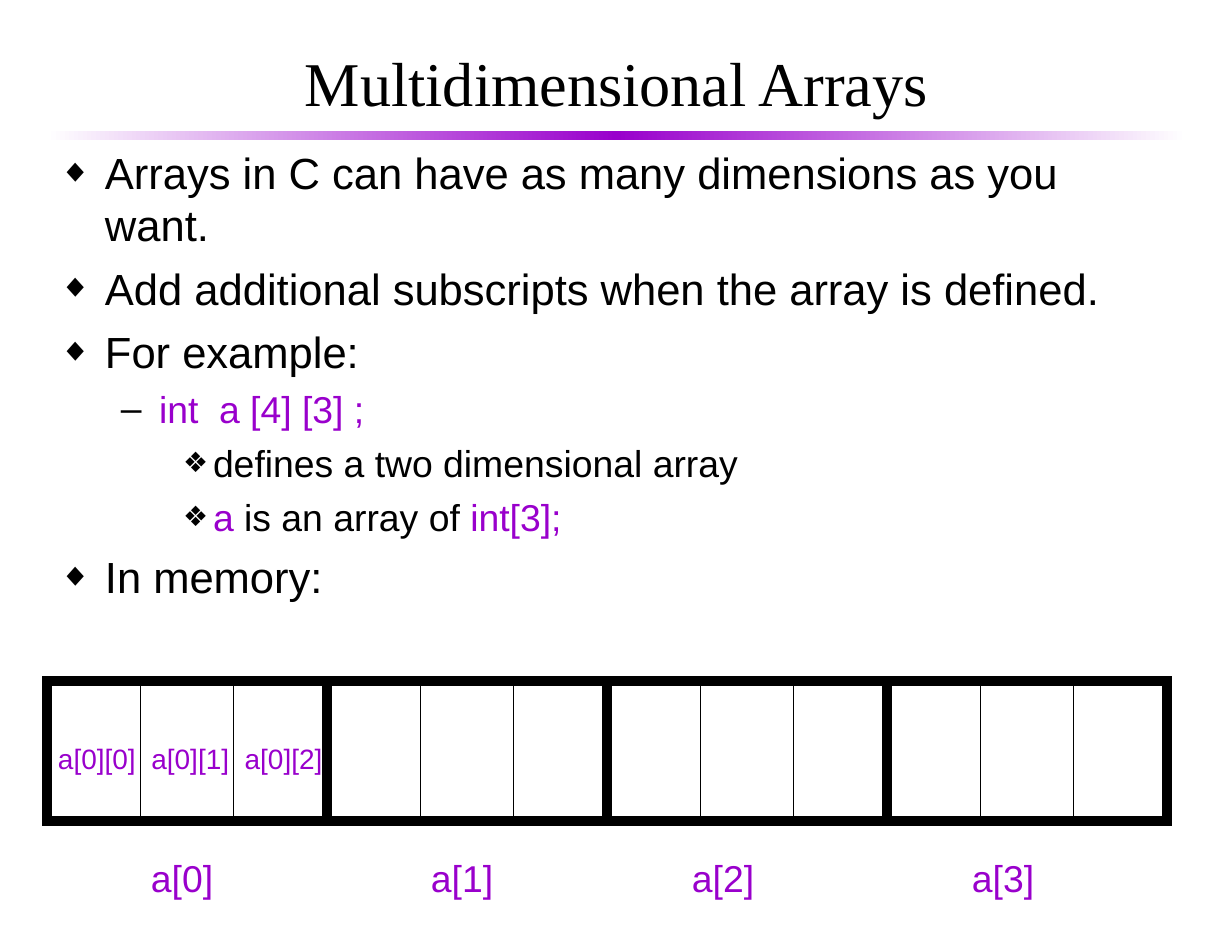
import pptx
import pptx.util
import pptx.dml.color
import pptx.enum.shapes
import pptx.enum.text
import pptx.oxml.ns
import lxml.etree

SCALE = 914400 / 112
BLACK, WHITE, PURPLE = "000000", "FFFFFF", "9900CC"
TITLE = "Multidimensional Arrays"
BODY = [
    (0, [("Arrays in C can have as many dimensions as you want.", BLACK)]),
    (0, [("Add additional subscripts when the array is defined.", BLACK)]),
    (0, [("For example:", BLACK)]),
    (1, [("int  a [4] [3] ;", PURPLE)]),
    (2, [("defines a two dimensional array", BLACK)]),
    (2, [("a", PURPLE), (" is an array of ", BLACK), ("int[3];", PURPLE)]),
    (0, [("In memory:", BLACK)]),
]
LEVELS = [
    {"size": 28, "before": 7, "left": 46, "hang": 46, "bullet": "◆", "percent": 75},
    {"size": 24, "before": 6, "left": 100, "hang": 38, "bullet": "–", "percent": 100},
    {"size": 24, "before": 6, "left": 154, "hang": 30, "bullet": "❖", "percent": 75},
]
ROW_LABELS = [("a[0]", 140), ("a[1]", 420), ("a[2]", 681), ("a[3]", 961)]
CELL_LABELS = ["a[0][0]", "a[0][1]", "a[0][2]"]
ROWS, COLUMNS = 4, 3
MEMORY_LEFT, MEMORY_TOP, MEMORY_WIDTH, MEMORY_HEIGHT = 47, 681, 1120, 140


def px(length):
    return pptx.util.Emu(round(length * SCALE))


def color(value):
    return pptx.dml.color.RGBColor.from_string(value)


def add_run(paragraph, text, size, value, font="Arial"):
    run = paragraph.add_run()
    run.text = text
    run.font.size = pptx.util.Pt(size)
    run.font.name = font
    run.font.color.rgb = color(value)


def add_element(parent, tag, **attributes):
    return lxml.etree.SubElement(parent, pptx.oxml.ns.qn(tag), **attributes)


def place(shape, left, top, width, height):
    shape.left, shape.top = px(left), px(top)
    shape.width, shape.height = px(width), px(height)


def set_frame(frame, side, end):
    frame.word_wrap = True
    frame.auto_size = pptx.enum.text.MSO_AUTO_SIZE.NONE
    frame.margin_left = frame.margin_right = px(side)
    frame.margin_top = frame.margin_bottom = px(end)


def add_rectangle(slide, left, top, width, height):
    shape = slide.shapes.add_shape(
        pptx.enum.shapes.MSO_SHAPE.RECTANGLE, px(left), px(top), px(width), px(height))
    shape.shadow.inherit = False
    return shape


def add_title_rule(slide):
    shape = add_rectangle(slide, 47, 131, 1139, 9)
    shape.line.fill.background()
    shape.fill.gradient()
    shape.fill.gradient_angle = 0
    stops = shape.fill._fill._gradFill.find(pptx.oxml.ns.qn("a:gsLst"))
    for stop in list(stops):
        stops.remove(stop)
    for position, value in [(0, WHITE), (50000, PURPLE), (100000, WHITE)]:
        stop = add_element(stops, "a:gs", pos=str(position))
        add_element(stop, "a:srgbClr", val=value)


def fill_title(title):
    place(title, 66, 32, 1101, 99)
    set_frame(title.text_frame, 12, 7)
    title.text_frame.vertical_anchor = pptx.enum.text.MSO_ANCHOR.MIDDLE
    paragraph = title.text_frame.paragraphs[0]
    paragraph.alignment = pptx.enum.text.PP_ALIGN.CENTER
    add_run(paragraph, TITLE, 40, BLACK, "Times New Roman")


def fill_body(body):
    place(body, 47, 139, 1130, 765)
    frame = body.text_frame
    set_frame(frame, 12, 7)
    for index, (level, runs) in enumerate(BODY):
        style = LEVELS[level]
        paragraph = frame.add_paragraph() if index else frame.paragraphs[0]
        paragraph.level = level
        paragraph.space_before = pptx.util.Pt(style["before"] if index else 0)
        properties = paragraph._p.get_or_add_pPr()
        properties.set("marL", str(px(style["left"])))
        properties.set("indent", str(-px(style["hang"])))
        bullet_color = add_element(properties, "a:buClr")
        add_element(bullet_color, "a:srgbClr", val=BLACK)
        add_element(properties, "a:buSzPct", val=str(style["percent"] * 1000))
        add_element(properties, "a:buFont", typeface="Arial")
        add_element(properties, "a:buChar", char=style["bullet"])
        for text, value in runs:
            add_run(paragraph, text, style["size"], value)


def add_divider(slide, left, width):
    line = slide.shapes.add_connector(
        pptx.enum.shapes.MSO_CONNECTOR.STRAIGHT,
        px(left), px(MEMORY_TOP), px(left), px(MEMORY_TOP + MEMORY_HEIGHT))
    line.line.color.rgb = color(BLACK)
    line.line.width = pptx.util.Pt(width)
    add_element(line._element.spPr, "a:effectLst")


def add_label(slide, text, left, top, width, height, size):
    box = slide.shapes.add_textbox(px(left), px(top), px(width), px(height))
    set_frame(box.text_frame, 11, 6)
    add_run(box.text_frame.paragraphs[0], text, size, PURPLE)


def add_memory(slide):
    outline = add_rectangle(slide, MEMORY_LEFT, MEMORY_TOP, MEMORY_WIDTH, MEMORY_HEIGHT)
    outline.fill.background()
    outline.line.color.rgb = color(BLACK)
    outline.line.width = pptx.util.Pt(6)
    add_element(outline.line._get_or_add_ln(), "a:miter", lim="800000")
    cell = MEMORY_WIDTH / (ROWS * COLUMNS)
    for index in range(1, ROWS * COLUMNS):
        add_divider(slide, MEMORY_LEFT + index * cell, 1 if index % COLUMNS else 6)
    for text, left in ROW_LABELS:
        add_label(slide, text, left, 849, 112, 56, 24)
    for index, text in enumerate(CELL_LABELS):
        add_label(slide, text, MEMORY_LEFT + index * cell, 736, 125, 45, 18)


def main():
    presentation = pptx.Presentation()
    presentation.slide_width, presentation.slide_height = px(1232), px(952)
    slide = presentation.slides.add_slide(presentation.slide_layouts[1])
    add_title_rule(slide)
    fill_title(slide.shapes.title)
    fill_body(slide.placeholders[1])
    add_memory(slide)
    presentation.save("out.pptx")


if __name__ == "__main__":
    main()
